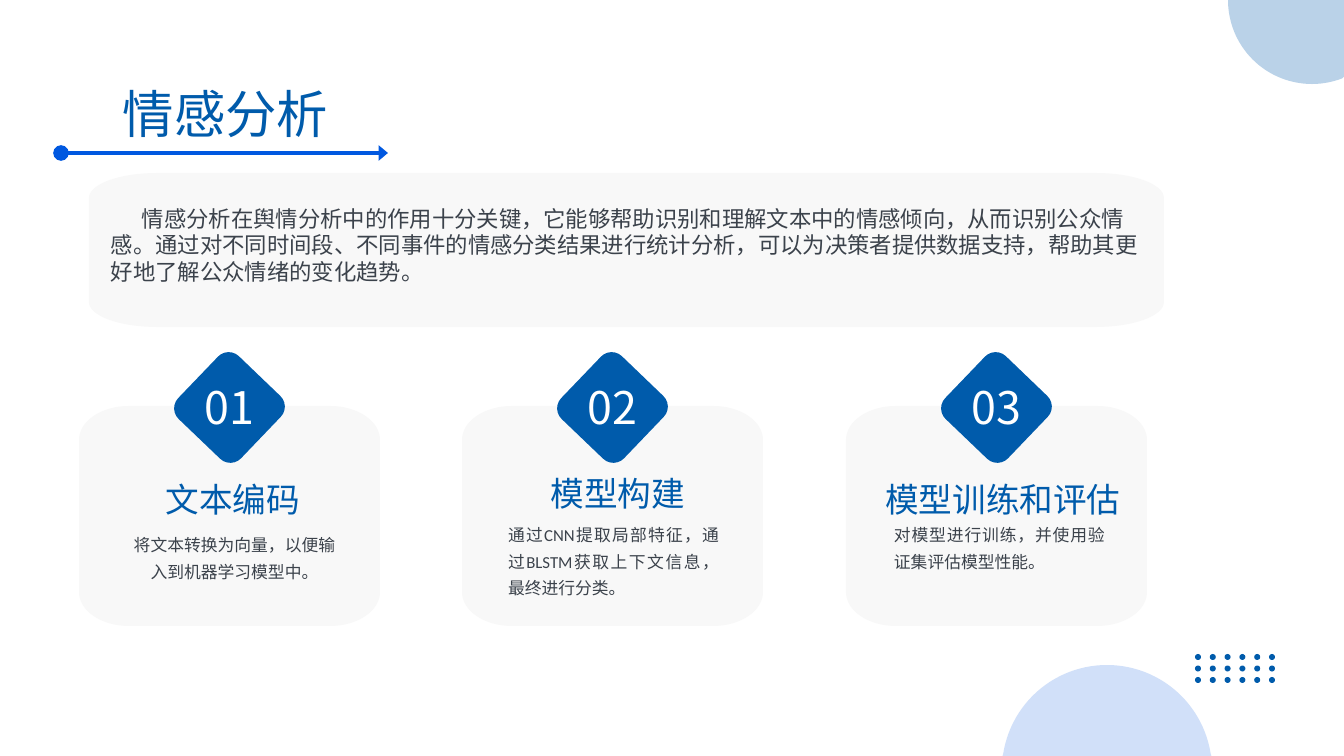
import math
from dataclasses import dataclass

from lxml import etree
from pptx import Presentation
from pptx import util as u
from pptx.dml.color import RGBColor
from pptx.enum import shapes, text
from pptx.oxml.ns import qn

W, H = 1344, 756
PX = 12192000 / W


@dataclass(frozen=True)
class Theme:
    """Colours, fonts and type sizes of the deck."""
    blue: str = "005BAB"
    bright: str = "0058E0"
    panel: str = "F8F8F8"
    ink: str = "3B424B"
    white: str = "FFFFFF"
    font: str = "Calibri"
    number_font: str = "Noto Sans CJK SC"
    title: tuple = (36.7, 44)
    number: tuple = (32, 38.4)
    heading: tuple = (24, 28.8)
    body: tuple = (12, 18.7)
    intro: tuple = (16, 18.7)


T = Theme()
CENTER, JUSTIFY, LEFT = text.PP_ALIGN.CENTER, text.PP_ALIGN.JUSTIFY, text.PP_ALIGN.LEFT

CARDS = [
    ("01", "文本编码", (9, 73), "将文本转换为向量，以便输入到机器学习模型中。", (50, 123), CENTER),
    ("02", "模型构建", (11, 67), "通过CNN提取局部特征，通过BLSTM获取上下文信息，最终进行分类。", (46, 113), JUSTIFY),
    ("03", "模型训练和评估", (12, 73), "对模型进行训练，并使用验证集评估模型性能。", (48, 113), JUSTIFY),
]
INTRO = ("情感分析在舆情分析中的作用十分关键，它能够帮助识别和理解文本中的情感倾向，"
         "从而识别公众情感。通过对不同时间段、不同事件的情感分类结果进行统计分析，"
         "可以为决策者提供数据支持，帮助其更好地了解公众情绪的变化趋势。")


def emu(px):
    """Turn px into EMU."""
    return u.Emu(round(px * PX))


def paint(sp, color, alpha=100):
    """Give a shape a flat fill with no line or shadow."""
    sp.shadow.inherit = False
    sp.fill.solid()
    sp.fill.fore_color.rgb = RGBColor.from_string(color)
    sp.line.fill.background()
    if alpha < 100:
        clr = sp.fill._xPr.find(qn("a:solidFill"))[0]
        etree.SubElement(clr, qn("a:alpha")).set("val", str(alpha * 1000))


def add_preset(s, kind, box, color):
    """Add a filled preset shape."""
    sp = s.shapes.add_shape(kind, *map(emu, box))
    paint(sp, color)
    return sp


def add_outline(s, points, color, alpha=100):
    """Add a filled closed outline through the points."""
    points = [(emu(x), emu(y)) for x, y in points]
    fb = s.shapes.build_freeform(*points[0], scale=1.0)
    fb.add_line_segments(points[1:], close=True)
    paint(fb.convert_to_shape(), color, alpha)


def add_panel(s, box, rx, ry):
    """Add a panel with elliptical corners."""
    x, y, w, h = box
    corners = [(x + w - rx, y + h - ry), (x + rx, y + h - ry),
               (x + rx, y + ry), (x + w - rx, y + ry)]
    points = []
    for quarter, (cx, cy) in enumerate(corners):
        for step in range(17):
            a = math.radians(90 * (quarter + step / 16))
            points.append((cx + rx * math.cos(a), cy + ry * math.sin(a)))
    add_outline(s, points, T.panel)


def add_disc(s, cx, cy, radius, color, alpha):
    """Add a translucent disc cut off at the slide edges."""
    points = []
    for deg in range(0, 360, 3):
        a = math.radians(deg)
        points.append((min(max(cx + radius * math.cos(a), 0), W),
                       min(max(cy + radius * math.sin(a), 0), H)))
    add_outline(s, points, color, alpha)


def add_text(s, box, words, style, color, align=CENTER, font=T.font, indent=0):
    """Add a one-paragraph text box without insets."""
    tf = s.shapes.add_textbox(*map(emu, box)).text_frame
    tf.word_wrap = True
    tf.margin_left = tf.margin_right = tf.margin_top = tf.margin_bottom = 0
    p = tf.paragraphs[0]
    p.text = words
    p.alignment = align
    size, spacing = style
    p.line_spacing = u.Pt(spacing)
    if indent:
        p._p.get_or_add_pPr().set("indent", str(emu(indent)))
    r = p.runs[0]
    r.font.size = u.Pt(size)
    r.font.name = font
    r.font.color.rgb = RGBColor.from_string(color)


def add_dots(s, box):
    """Fill the box with a grid of dots, six by three."""
    x, y, w, h = box
    size = 6
    for row in range(3):
        for col in range(6):
            left = x + (w - size) * col / 5
            top = y + (h - size) * row / 2
            add_preset(s, shapes.MSO_SHAPE.OVAL, (left, top, size, size), T.blue)


def add_header(s, box):
    """Add the title above its arrow."""
    x, y, w, h = box
    line_y = y + h
    cn = s.shapes.add_connector(shapes.MSO_CONNECTOR.STRAIGHT, emu(x + 17), emu(line_y),
                                emu(x + 344), emu(line_y))
    cn.line.color.rgb = RGBColor.from_string(T.bright)
    cn.line.width = u.Pt(2.25)
    ln = cn.line._get_or_add_ln()
    for tag, kind, length in (("a:headEnd", "oval", "lg"), ("a:tailEnd", "triangle", "med")):
        end = etree.SubElement(ln, qn(tag))
        end.set("type", kind)
        end.set("w", "lg")
        end.set("len", length)
    etree.SubElement(cn._element.spPr, qn("a:effectLst"))
    add_text(s, (x, y, w, 62), "情感分析", T.title, T.blue)


def add_intro(s, box):
    """Add the introduction on its panel."""
    x, y, w, h = box
    add_panel(s, box, 68, 25)
    add_text(s, (x + 22, y + 33, w - 41, 80), INTRO, T.intro, T.ink, LEFT, indent=31)


def add_card(s, box, card):
    """Add a numbered card."""
    x, y, w, h = box
    number, heading, (hx, hy), body, (bx, by), align = card
    add_panel(s, box, 50, 34)
    badge = add_preset(s, shapes.MSO_SHAPE.ROUNDED_RECTANGLE, (x + 107, y - 42, 87, 87), T.blue)
    badge.adjustments[0] = 0.17
    badge.rotation = 43.8
    add_text(s, (x + 95, y - 26, 111, 53), number, T.number, T.white, font=T.number_font)
    add_text(s, (x + hx, y + hy, 290, 39), heading, T.heading, T.blue)
    add_text(s, (x + bx, y + by, 211, 79), body, T.body, T.ink, align)


def main():
    """Build the slide and save it."""
    prs = Presentation()
    prs.slide_width, prs.slide_height = emu(W), emu(H)
    s = prs.slides.add_slide(prs.slide_layouts[6])
    add_disc(s, 1107, 770, 105, T.bright, 18)
    add_disc(s, 1312, 0, 84, T.blue, 27)
    add_dots(s, (1195, 654, 80, 29))
    add_header(s, (44, 82, 363, 71))
    add_intro(s, (89, 173, 1075, 154))
    for i, card in enumerate(CARDS):
        add_card(s, (79 + 767 * i // 2, 406, 301, 220), card)
    prs.save("out.pptx")


if __name__ == "__main__":
    main()
